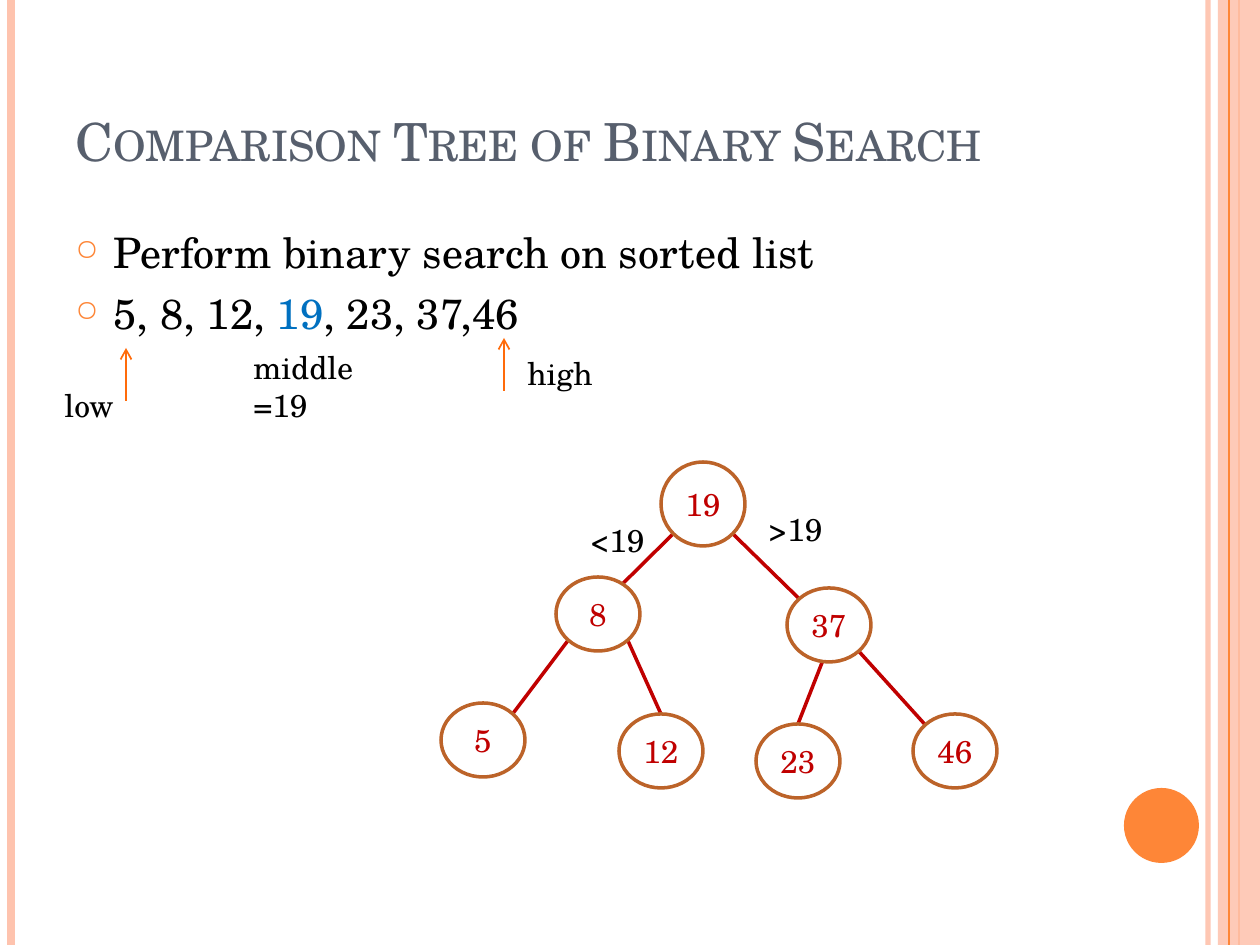
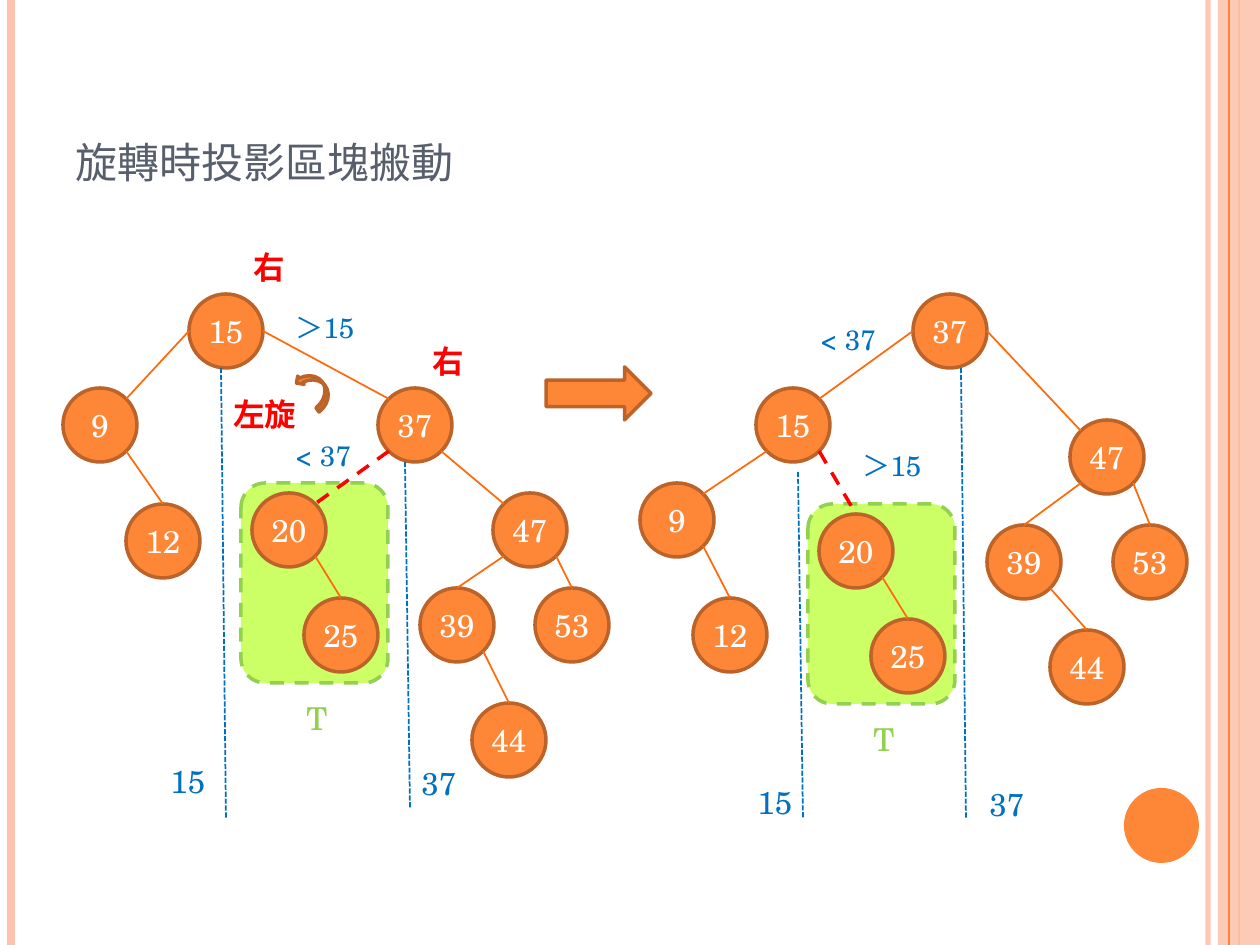
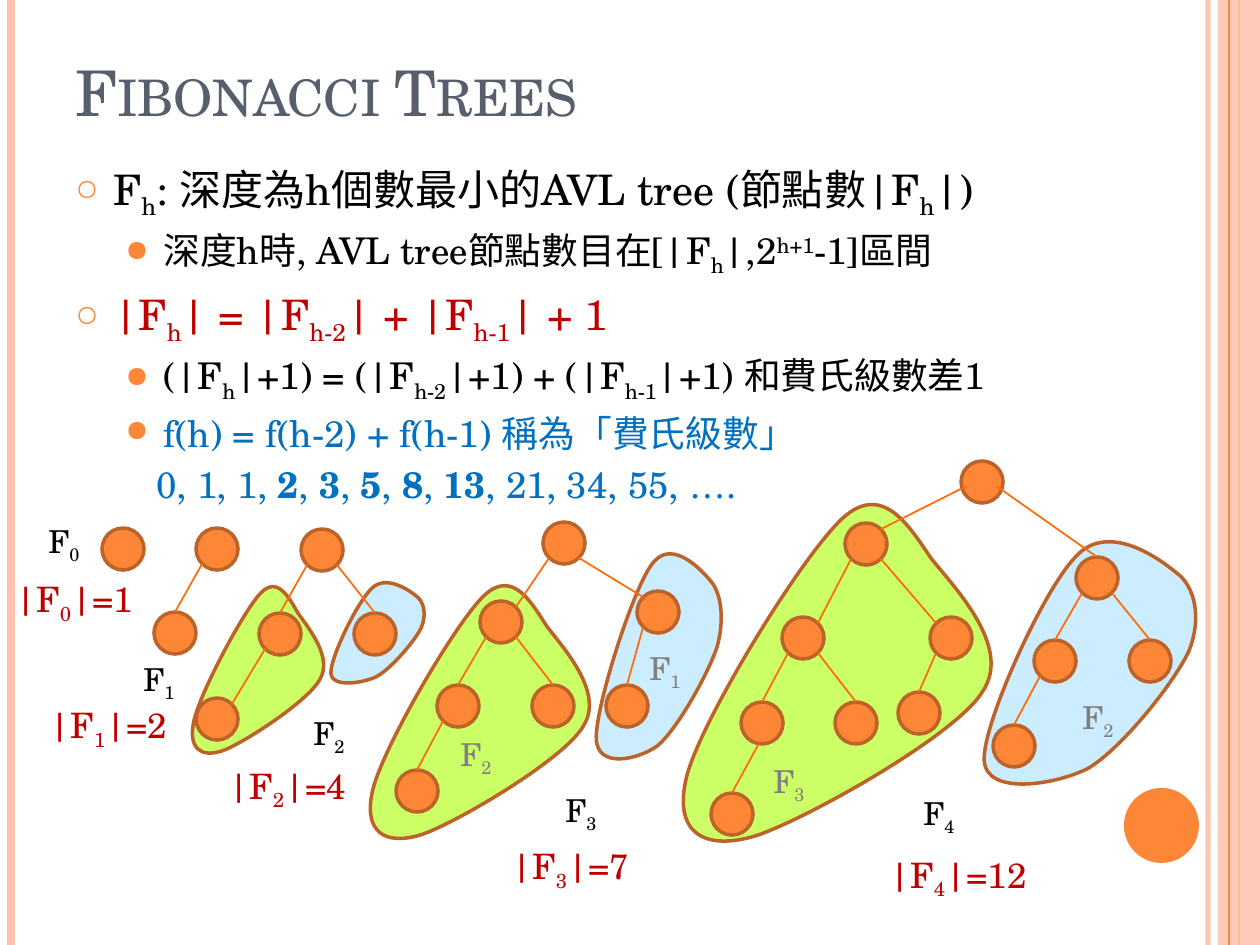
from dataclasses import dataclass
from math import sqrt

from lxml.etree import SubElement
from pptx import Presentation
from pptx.dml.color import RGBColor
from pptx.enum.dml import MSO_LINE
from pptx.enum.shapes import MSO_CONNECTOR, MSO_SHAPE
from pptx.enum.text import MSO_ANCHOR, PP_ALIGN
from pptx.oxml.ns import qn
from pptx.util import Emu, Pt

EMU_PER_PX = 914400 / 126
SLIDE_W, SLIDE_H = 1260, 945
FONT, CJK_FONT, BULLET_FONT = "TeX Gyre Schola", "Noto Sans CJK SC", "OpenSymbol"
COLORS = {
    "black": "000000", "white": "FFFFFF", "title": "575F6D", "grey": "808080",
    "orange": "FE8637", "brown": "BC6329", "edge": "FF6B0A", "band": "FEC3AE",
    "dark red": "C00000", "red": "FF0000", "blue": "0070C0",
    "lime": "CCFF66", "green": "92D050", "sky": "CCECFF",
}

# Text markup: ~subscript~ ^superscript^ *bold* #blue#
MARKS = "~^*#"

# Where edges meet a node, as fractions of its half axes
D = sqrt(0.5)
SITES = {"N": (0, -1), "NE": (D, -D), "E": (1, 0), "SE": (D, D),
         "S": (0, 1), "SW": (-D, D), "W": (-1, 0), "NW": (-D, -D),
         "NNE": (0.49, -D), "SSW": (-0.16, 1), "WSW": (-0.75, 0.2), "ESE": (0.7, 0.2)}

# Closed Bezier outlines in percent of their box: start, then control, control, end
LEFT_OUTLINE = [(50, 10), (62, 0), (70, 13), (76, 21), (83, 29), (100, 45), (91, 57),
                (83, 69), (38, 92), (24, 96), (9, 100), (0, 95), (4, 80),
                (8, 65), (38, 20), (50, 10)]
RIGHT_OUTLINE = [(43, 12), (57, 0), (79, 12), (88, 18), (97, 23), (100, 35), (94, 47),
                 (87, 59), (63, 83), (48, 90), (33, 96), (2, 100), (1, 87),
                 (0, 74), (28, 24), (43, 12)]


@dataclass
class Node:
    key: str
    x: int
    y: int
    parent: str = None
    start: str = None
    end: str = "N"
    height: int = None
    dashed: bool = False


@dataclass
class TreeStyle:
    width: int
    height: int
    fill: str = "orange"
    text: str = "white"
    edge: str = "edge"
    edge_width: float = 1
    labelled: bool = True
    edges_on_top: bool = True


def px(n):
    return Emu(round(n * EMU_PER_PX))


def rgb(name):
    return RGBColor.from_string(COLORS[name])


def set_alpha(element, percent):
    for clr in element.iter(qn("a:srgbClr")):
        SubElement(clr, qn("a:alpha"), val=str(percent * 1000))


def style_line(line, color, width, dash=None):
    line.color.rgb = rgb(color)
    line.width = Pt(width)
    if dash:
        line.dash_style = dash


def add_line(s, start, end, color="edge", width=1, dash=None, arrow=False):
    c = s.shapes.add_connector(MSO_CONNECTOR.STRAIGHT, *map(px, (*start, *end)))
    style_line(c.line, color, width, dash)
    if arrow:
        SubElement(c.line._get_or_add_ln(), qn("a:tailEnd"), type="arrow")
    SubElement(c._element.spPr, qn("a:effectLst"))
    return c


def paint(sp, fill, line=None, width=2, dash=None):
    sp.shadow.inherit = False
    sp.fill.solid()
    sp.fill.fore_color.rgb = rgb(fill)
    if line:
        style_line(sp.line, line, width, dash)
    else:
        sp.line.fill.background()
    return sp


def add_shape(s, kind, box, fill, line=None, dash=None):
    return paint(s.shapes.add_shape(kind, *map(px, box)), fill, line, dash=dash)


def marked_runs(text):
    """Yield (mark, text) pairs; a mark opens and closes its own span."""
    mark, part = "", ""
    for ch in text:
        if ch in MARKS:
            if part:
                yield mark, part
            mark, part = ("" if mark == ch else ch), ""
        else:
            part += ch
    if part:
        yield mark, part


def write(p, text, size, color, bold=False, small_caps=False):
    for mark, part in marked_runs(text):
        r = p.add_run()
        r.text = part
        r.font.size = Pt(size)
        r.font.name = FONT
        r.font.bold = bold or mark == "*"
        r.font.color.rgb = rgb("blue" if mark == "#" else color)
        rPr = r._r.get_or_add_rPr()
        SubElement(rPr, qn("a:ea"), typeface=CJK_FONT)
        if mark in ("~", "^"):
            rPr.set("baseline", "-25000" if mark == "~" else "30000")
        if small_caps:
            rPr.set("cap", "small")


def add_text(s, box, text, size=18, color="black", **kwargs):
    tf = s.shapes.add_textbox(*map(px, box)).text_frame
    tf.word_wrap = True
    write(tf.paragraphs[0], text, size, color, **kwargs)
    return tf


def add_title(s, box, text, size=30):
    tf = add_text(s, box, text, size, "title", small_caps=True)
    tf.vertical_anchor = MSO_ANCHOR.BOTTOM


def add_body(s, box, items):
    """Items are (kind, text, colour) with kind main, sub or plain."""
    kinds = {"main": (24, 6, 38, -38, "○", 70),
             "sub": (21, 4.2, 88, -38, "●", 80),
             "plain": (21, 4.2, 81, 0, None, None)}
    tf = s.shapes.add_textbox(*map(px, box)).text_frame
    tf.word_wrap = True
    for i, (kind, text, color) in enumerate(items):
        size, before, left, indent, bullet, percent = kinds[kind]
        p = tf.add_paragraph() if i else tf.paragraphs[0]
        p.space_before = Pt(before)
        p.level = 0 if kind == "main" else 1
        pPr = p._p.get_or_add_pPr()
        pPr.set("marL", str(px(left)))
        pPr.set("indent", str(px(indent)))
        if bullet:
            clr = SubElement(pPr, qn("a:buClr"))
            SubElement(clr, qn("a:srgbClr"), val=COLORS["orange"])
            SubElement(pPr, qn("a:buSzPct"), val=str(percent * 1000))
            SubElement(pPr, qn("a:buFont"), typeface=BULLET_FONT)
            SubElement(pPr, qn("a:buChar"), char=bullet)
        write(p, text, size, color)


def new_slide(prs):
    """Add a blank slide with the edge bands and the corner disc."""
    s = prs.slides.add_slide(prs.slide_layouts[6])

    def rule(x, color, width):
        return add_line(s, (x, 0), (x, SLIDE_H), color, width)

    set_alpha(rule(1208, "band", 3)._element, 93)
    rule(11, "band", 4.5)
    rule(1239, "orange", 1.5)
    band = add_shape(s, MSO_SHAPE.RECTANGLE, (1218, 0, 42, SLIDE_H), "band")
    set_alpha(band._element, 87)
    rule(1229, "orange", 0.75)
    add_shape(s, MSO_SHAPE.OVAL, (1124, 788, 75, 75), "orange")
    return s


def site(box, name):
    x, y, w, h = box
    dx, dy = SITES[name]
    return x + w / 2 * (1 + dx), y + h / 2 * (1 + dy)


def add_edges(s, nodes, boxes, style):
    for n in nodes:
        if n.parent is None:
            continue
        parent, child = boxes[n.parent], boxes[n.key]
        start = n.start or ("SW" if child[0] < parent[0] else "SE")
        look = ("red", 2, MSO_LINE.DASH) if n.dashed else (style.edge, style.edge_width)
        add_line(s, site(parent, start), site(child, n.end), *look)


def add_tree(s, origin, nodes, style):
    """Draw nodes and edges, placed from the origin."""
    boxes = {n.key: (origin[0] + n.x, origin[1] + n.y, style.width,
                     n.height or style.height) for n in nodes}
    if not style.edges_on_top:
        add_edges(s, nodes, boxes, style)
    for key, box in boxes.items():
        sp = add_shape(s, MSO_SHAPE.OVAL, box, style.fill, "brown")
        if style.labelled:
            tf = sp.text_frame
            tf.margin_left = tf.margin_right = px(5)
            tf.margin_top = tf.margin_bottom = px(6)
            tf.vertical_anchor = MSO_ANCHOR.MIDDLE
            p = tf.paragraphs[0]
            p.alignment = PP_ALIGN.CENTER
            write(p, key, 18, style.text)
    if style.edges_on_top:
        add_edges(s, nodes, boxes, style)


def add_outline(s, box, outline, fill):
    """Draw a closed curve: each three segments become one Bezier segment."""
    x, y, w, h = box
    points = [(px(x + w * u / 100), px(y + h * v / 100)) for u, v in outline]
    builder = s.shapes.build_freeform(*points[0])
    builder.add_line_segments(points[1:], close=True)
    sp = paint(builder.convert_to_shape(), fill, "brown")
    segments = list(sp._element.iter(qn("a:lnTo")))
    for i in range(0, len(segments), 3):
        curve = SubElement(segments[i].getparent(), qn("a:cubicBezTo"))
        segments[i].addprevious(curve)
        for segment in segments[i:i + 3]:
            curve.append(segment[0])
            segment.getparent().remove(segment)


def comparison_slide(prs):
    s = new_slide(prs)
    add_title(s, (63, 37, 1029, 141), "Comparison Tree of Binary Search")
    add_body(s, (63, 220, 1029, 672), [
        ("main", "Perform binary search on sorted list", "black"),
        ("main", "5, 8, 12, #19#, 23, 37,46", "black")])
    add_tree(s, (441, 462), [
        Node("19", 220, 0, height=84),
        Node("8", 115, 115, "19", end="NNE"),
        Node("37", 346, 126, "19", end="NW"),
        Node("5", 0, 241, "8", end="NE"),
        Node("12", 178, 252, "8"),
        Node("23", 315, 262, "37", start="SSW"),
        Node("46", 472, 252, "37", end="NW"),
    ], TreeStyle(84, 74, "white", "dark red", "dark red", 2, edges_on_top=False))
    for x, y in ((126, 348), (504, 338)):
        add_line(s, (x, y + 53), (x, y), arrow=True)
    for x, y, w, text in ((52, 380, 84, "low"), (515, 348, 95, "high"),
                          (241, 342, 136, "middle=19"),
                          (578, 515, 84, "<19"), (756, 504, 84, ">19")):
        add_text(s, (x, y, w, 50), text)


def add_rotation_tree(s, origin, nodes, moved_block, projections, labels):
    """Draw a tree with its shaded subtree T and the projection lines."""
    ox, oy = origin
    bx, by = ox + moved_block[0], oy + moved_block[1]
    add_shape(s, MSO_SHAPE.ROUNDED_RECTANGLE, (bx, by, 147, 200), "lime", "green", MSO_LINE.DASH)
    add_text(s, (bx + 53, by + 210, 53, 50), "T", color="green")
    add_tree(s, origin, nodes, TreeStyle(74, 74))
    for x, top, bottom in projections:
        add_line(s, (ox + x, oy + top), (ox + x + 5, oy + bottom), "blue", 1, MSO_LINE.SQUARE_DOT)
    for x, y, text, size in labels:
        add_text(s, (ox + x, oy + y, 116, 48), text, size, "blue")


def rotation_slide(prs):
    s = new_slide(prs)
    add_title(s, (63, 38, 1029, 157), "旋轉時投影區塊搬動")
    add_rotation_tree(s, (63, 294), [
        Node("15", 126, 0),
        Node("9", 0, 94, "15", "W", "NE"),
        Node("12", 63, 210, "9"),
        Node("37", 315, 94, "15", "E", "NW"),
        Node("20", 189, 199, "37", end="NE", dashed=True),
        Node("25", 241, 304, "20"),
        Node("47", 430, 199, "37", end="NW"),
        Node("39", 357, 294, "47"),
        Node("44", 409, 409, "39"),
        Node("53", 472, 294, "47"),
    ], (178, 189), [(158, 74, 525), (342, 168, 515)], [
        (220, 10, "＞15", 16), (220, 138, "< 37", 16), (95, 462, "15", 18), (346, 464, "37", 18)])
    add_rotation_tree(s, (640, 294), [
        Node("37", 273, 0),
        Node("15", 116, 94, "37", "W", "NE"),
        Node("9", 0, 189, "15", end="NE"),
        Node("12", 53, 304, "9"),
        Node("20", 179, 220, "15", dashed=True),
        Node("25", 231, 325, "20"),
        Node("47", 430, 126, "37", "E", "NW"),
        Node("39", 347, 231, "47"),
        Node("44", 410, 336, "39"),
        Node("53", 473, 231, "47"),
    ], (168, 210), [(321, 74, 525), (158, 178, 525)], [
        (210, 148, "＞15", 16), (168, 22, "< 37", 16), (105, 483, "15", 18), (337, 485, "37", 18)])
    for x, y, w, text in ((241, 242, 53, "右"), (420, 336, 53, "右"), (221, 389, 95, "左旋")):
        add_text(s, (x, y, w, 53), text, color="red", bold=True)
    turn = add_shape(s, MSO_SHAPE.CURVED_RIGHT_ARROW, (304, 368, 21, 42), "orange", "brown")
    turn.rotation = 142
    add_shape(s, MSO_SHAPE.RIGHT_ARROW, (546, 367, 105, 53), "orange", "brown")


def add_fibonacci_tree(s, origin, order, count, nodes, name_at, count_at,
                       left=None, right=None, parts=()):
    """Draw one tree; every place is measured from the corner of its root."""
    ox, oy = origin
    for box, outline, fill in ((right, RIGHT_OUTLINE, "sky"), (left, LEFT_OUTLINE, "lime")):
        if box:
            add_outline(s, (ox + box[0], oy + box[1], *box[2:]), outline, fill)
    add_tree(s, origin, [Node("", 0, 0), *nodes], TreeStyle(42, 42, labelled=False))
    names = [(*name_at, order, "black"), *((*part, "grey") for part in parts)]
    for x, y, n, color in names:
        add_text(s, (ox + x, oy + y, 74, 50), f"F~{n}~", color=color)
    add_text(s, (ox + count_at[0], oy + count_at[1], 165, 55),
             f"|F~{order}~|={count}", 20, "dark red")


def fibonacci_slide(prs):
    s = new_slide(prs)
    add_title(s, (63, 23, 1029, 112), "Fibonacci Trees", 36)
    add_body(s, (63, 157, 1108, 340), [
        ("main", "F~h~: 深度為h個數最小的AVL tree (節點數|F~h~|)", "black"),
        ("sub", "深度h時, AVL tree節點數目在[|F~h~|,2^h+1^-1]區間", "black"),
        ("main", "|F~h~| = |F~h-2~| + |F~h-1~| + 1", "dark red"),
        ("sub", "(|F~h~|+1) = (|F~h-2~|+1) + (|F~h-1~|+1) 和費氏級數差1", "black"),
        ("sub", "f(h) = f(h-2) + f(h-1) 稱為「費氏級數」", "blue"),
        ("plain", "0, 1, 1, *2*, *3*, *5*, *8*, *13*, 21, 34, 55, ….", "blue")])
    add_fibonacci_tree(s, (102, 528), 0, 1, [], (-66, -12), (-99, 43))
    add_fibonacci_tree(s, (196, 528), 1, 2, [Node("L", -42, 84, "")], (-65, 126), (-159, 169))
    add_fibonacci_tree(s, (301, 529), 2, 4, [
        Node("L", -42, 84, ""), Node("R", 53, 84, ""),
        Node("LL", -105, 169, "L", end="NE"),
    ], (0, 179), (-85, 229), (-113, 46, 145, 183), (29, 46, 97, 113))
    add_fibonacci_tree(s, (543, 522), 3, 7, [
        Node("L", -63, 79, "", end="NE"), Node("R", 94, 69, "", end="NW"),
        Node("LL", -106, 163, "L"), Node("LR", -11, 163, "L"),
        Node("LLL", -147, 248, "LL"), Node("RL", 63, 163, "R"),
    ], (10, 263), (-44, 316), (-180, 46, 242, 278), (52, 16, 130, 231),
        [(-95, 207, 2), (94, 121, 1)])
    add_fibonacci_tree(s, (961, 461), 4, 12, [
        Node("L", -116, 62, "", "WSW", "NE"), Node("R", 115, 96, "", "ESE"),
        Node("LL", -179, 156, "L", end="NE"), Node("LR", -31, 156, "L", end="NW"),
        Node("LLL", -220, 241, "LL"), Node("LLR", -126, 241, "LL"),
        Node("LLLL", -250, 332, "LLL", "SSW"), Node("LRL", -63, 231, "LR"),
        Node("RL", 73, 179, "R"), Node("RR", 168, 179, "R"),
        Node("RLL", 32, 264, "RL"),
    ], (-50, 327), (-84, 386), (-288, 20, 340, 370), (21, 62, 220, 273),
        [(109, 231, 2), (-200, 295, 3)])


def main():
    prs = Presentation()
    prs.slide_width, prs.slide_height = px(SLIDE_W), px(SLIDE_H)
    comparison_slide(prs)
    rotation_slide(prs)
    fibonacci_slide(prs)
    prs.save("out.pptx")


if __name__ == "__main__":
    main()
